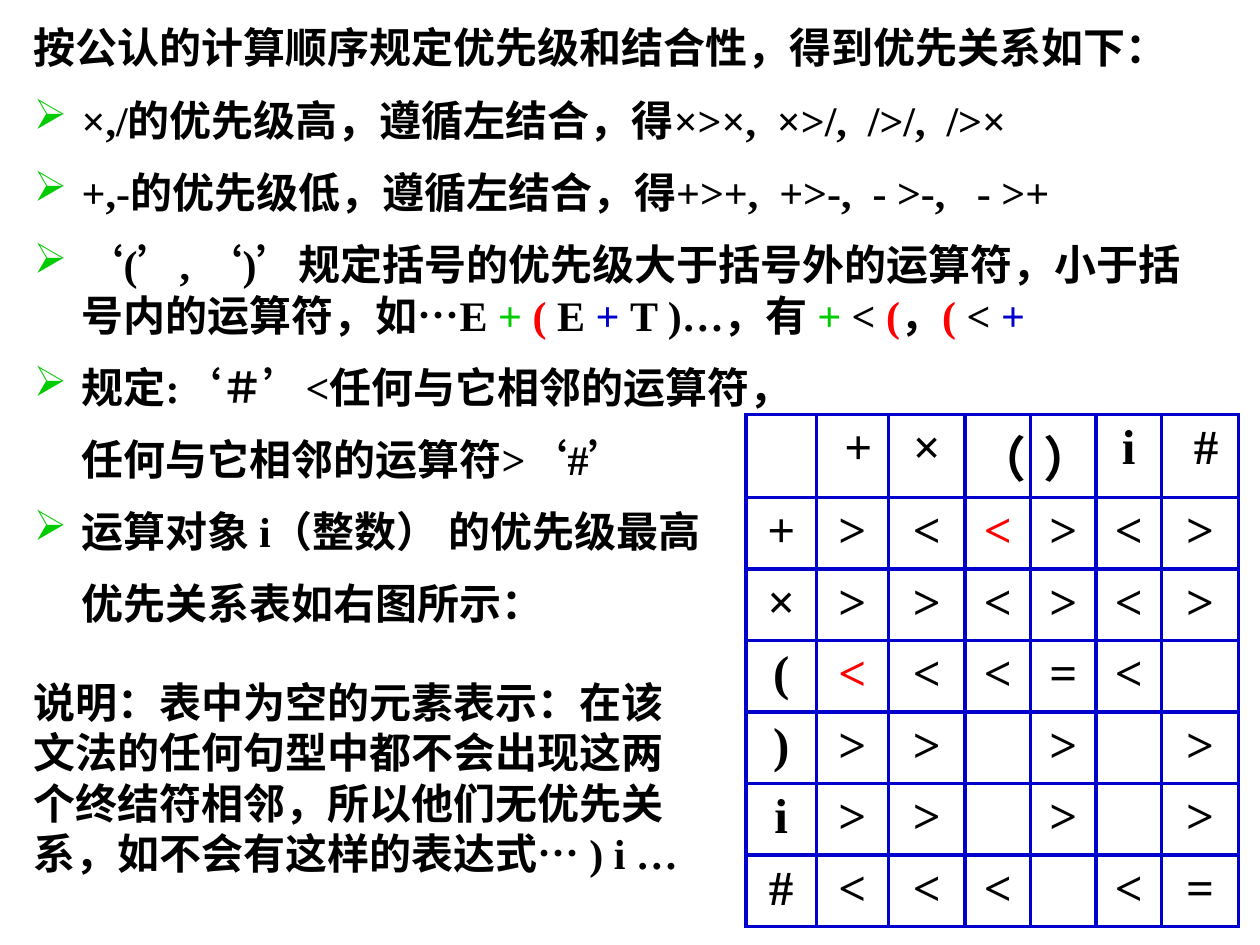
from lxml.etree import SubElement
from pptx import Presentation
from pptx.dml.color import RGBColor
from pptx.enum.text import PP_ALIGN
from pptx.oxml.ns import qn
from pptx.util import Inches, Pt

LATIN, CHINESE = "Times New Roman", "Noto Sans CJK SC"
BLACK, GREEN, RED, BLUE = "000000", "00CC00", "FF0000", "0000CC"
HANG = Inches(0.38)

INTRO = "按公认的计算顺序规定优先级和结合性，得到优先关系如下："
# Each rule: has a bullet, then (text, colour) runs
RULES = [
    (True, [("×,/的优先级高，遵循左结合，得×>×,  ×>/,  />/,  />×", BLACK)]),
    (True, [("+,-的优先级低，遵循左结合，得+>+,  +>-,  - >-,   - >+", BLACK)]),
    (True, [("‘(’, ‘)’规定括号的优先级大于括号外的运算符，小于括号内的运算符，如…E ", BLACK),
            ("+ ", GREEN), ("( ", RED), ("E ", BLACK), ("+ ", BLUE),
            ("T )…，有 ", BLACK), ("+", GREEN), (" < ", BLACK), ("(", RED),
            ("，", BLACK), ("(", RED), (" <", BLACK), (" +", BLUE)]),
    (True, [("规定:‘＃’<任何与它相邻的运算符，", BLACK)]),
    (False, [("任何与它相邻的运算符>‘#’", BLACK)]),
    (True, [("运算对象 i（整数） 的优先级最高", BLACK)]),
    (False, [("优先关系表如右图所示：", BLACK)]),
]
NOTE = ("说明：表中为空的元素表示：在该文法的任何句型中都不会出现这两个终结符相邻，"
        "所以他们无优先关系，如不会有这样的表达式… ) i …")

HEADER = ["", "\u00a0+", "×", "（", "）", "i", "\u00a0#"]
# One symbol per column; a dot stands for an empty cell
RELATIONS = ["+><<><>", "×>><><>", "(<<<=<.", ")>>.>.>", "i>>.>.>", "#<<<.<="]
HIGHLIGHTED = {(1, 3), (3, 1)}
COLUMN_WIDTHS = [0.56, 0.57, 0.61, 0.52, 0.52, 0.52, 0.61]
HEADER_HEIGHT, ROW_HEIGHT = 0.66, 0.53


def color(hex_string):
    return RGBColor.from_string(hex_string)


def add_text(paragraph, text, size=24, fill=BLACK, latin=LATIN):
    run = paragraph.add_run()
    run.text = text
    run.font.size = Pt(size)
    run.font.bold = True
    run.font.color.rgb = color(fill)
    run.font.name = latin
    SubElement(run.font._element, qn("a:ea"), typeface=CHINESE)


def add_bullet(paragraph):
    properties = paragraph._p.get_or_add_pPr()
    bullet_color = SubElement(properties, qn("a:buClr"))
    SubElement(bullet_color, qn("a:srgbClr"), val=GREEN)
    SubElement(properties, qn("a:buChar"), char="➢")


def add_frame(slide, left, top, width, height):
    box = slide.shapes.add_textbox(left, top, width, height)
    box.text_frame.word_wrap = True
    return box.text_frame


def add_rules(slide, left, top, width, height):
    frame = add_frame(slide, left, top, width, height)
    intro = frame.paragraphs[0]
    intro.line_spacing = 0.9
    add_text(intro, INTRO, latin=CHINESE)
    for bulleted, runs in RULES:
        rule = frame.add_paragraph()
        properties = rule._p.get_or_add_pPr()
        properties.set("marL", str(HANG))
        properties.set("indent", str(-HANG if bulleted else 0))
        if bulleted:
            add_bullet(rule)
        rule.space_before = Pt(12.4)
        for text, fill in runs:
            add_text(rule, text, fill=fill)


def add_note(slide, left, top, width, height):
    add_text(add_frame(slide, left, top, width, height).paragraphs[0], NOTE)


def add_borders(cell):
    properties = cell._tc.get_or_add_tcPr()
    for position, side in enumerate(("lnL", "lnR", "lnT", "lnB")):
        line = SubElement(properties, qn(f"a:{side}"), w=str(Pt(2.25)))
        fill = SubElement(line, qn("a:solidFill"))
        SubElement(fill, qn("a:srgbClr"), val=BLUE)
        properties.insert(position, line)


def add_precedence_table(slide, left, top, width, height):
    symbols = [HEADER] + [list(row.replace(".", " ")) for row in RELATIONS]
    table = slide.shapes.add_table(
        len(symbols), len(HEADER), left, top, width, height).table
    table.first_row = table.horz_banding = False
    for column, column_width in zip(table.columns, COLUMN_WIDTHS):
        column.width = Inches(column_width)
    for r, row in enumerate(symbols):
        table.rows[r].height = Inches(ROW_HEIGHT if r else HEADER_HEIGHT)
        for c, symbol in enumerate(row):
            cell = table.cell(r, c)
            cell.fill.background()
            add_borders(cell)
            paragraph = cell.text_frame.paragraphs[0]
            paragraph.alignment = PP_ALIGN.CENTER
            paragraph.font.size = Pt(28)
            if symbol.strip(" "):
                fill = RED if (r, c) in HIGHLIGHTED else BLACK
                add_text(paragraph, symbol, size=28, fill=fill)


def main():
    deck = Presentation()
    deck.slide_width, deck.slide_height = Inches(10), Inches(7.5)
    slide = deck.slides.add_slide(deck.slide_layouts[6])
    # Rules of precedence across the top
    add_rules(slide, Inches(0.17), Inches(0.17), Inches(9.58), Inches(5.08))
    # Precedence table at the lower right
    add_precedence_table(
        slide, Inches(5.92), Inches(3.29), Inches(sum(COLUMN_WIDTHS)),
        Inches(HEADER_HEIGHT + ROW_HEIGHT * len(RELATIONS)))
    # Explanation of the empty cells
    add_note(slide, Inches(0.17), Inches(5.32), Inches(5.42), Inches(1.7))
    deck.save("out.pptx")


if __name__ == "__main__":
    main()
